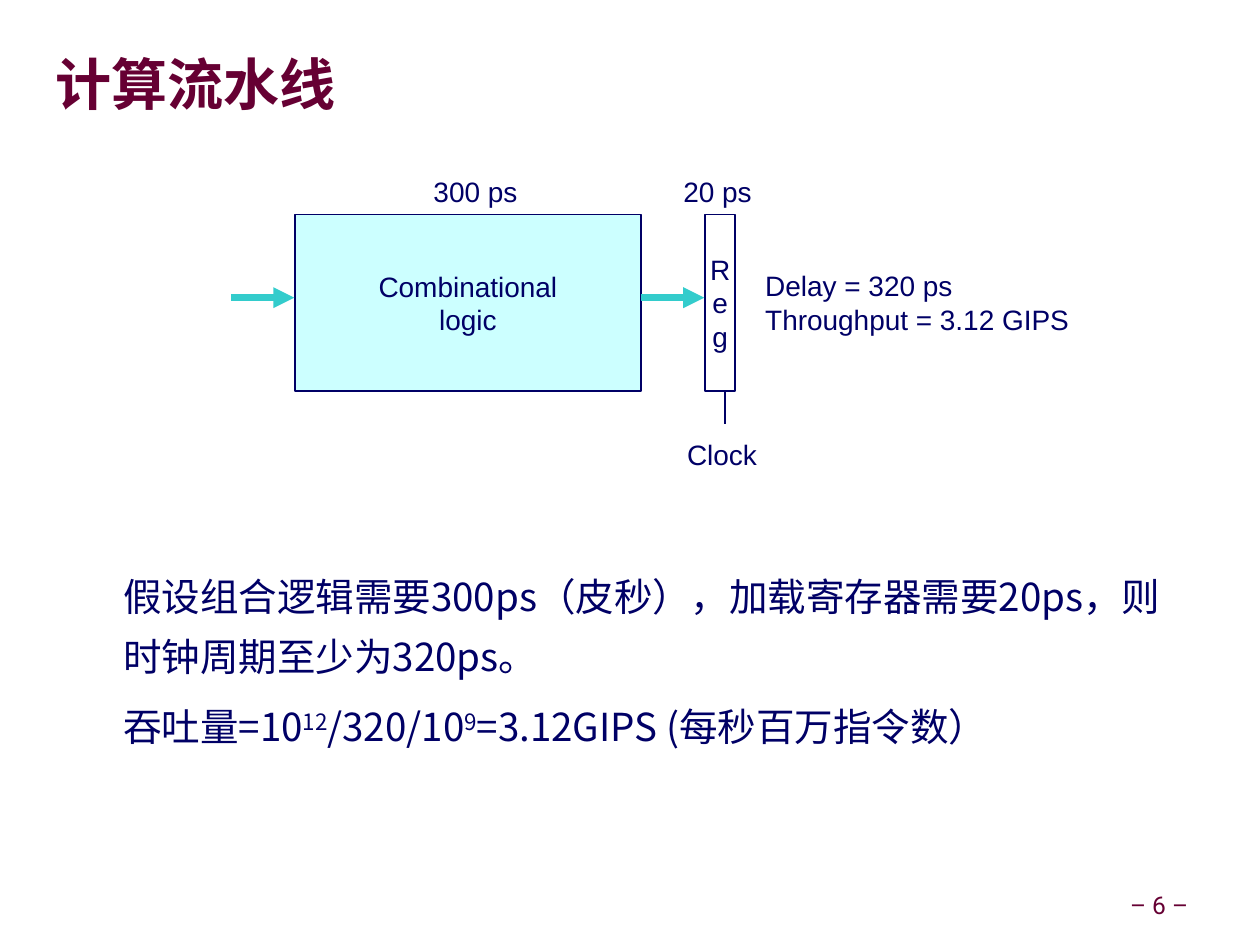
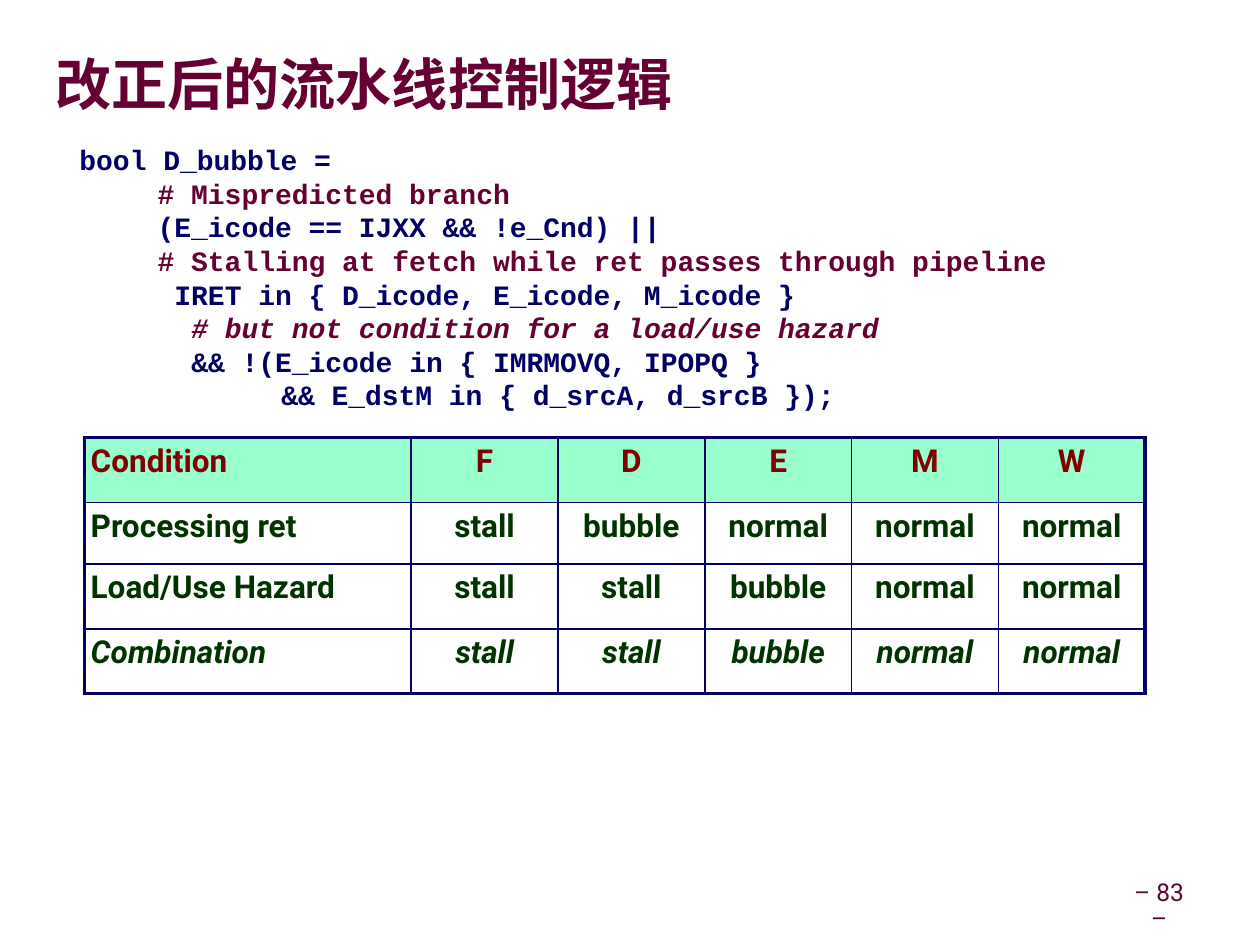
from dataclasses import dataclass

from lxml import etree
from pptx import Presentation
from pptx.dml.color import RGBColor
from pptx.enum.shapes import MSO_CONNECTOR, MSO_SHAPE
from pptx.enum.text import MSO_ANCHOR, MSO_AUTO_SIZE, PP_ALIGN
from pptx.oxml.ns import qn
from pptx.util import Pt

LEFT, CENTER = PP_ALIGN.LEFT, PP_ALIGN.CENTER
TOP, MIDDLE = MSO_ANCHOR.TOP, MSO_ANCHOR.MIDDLE
NO_AUTO_SIZE = MSO_AUTO_SIZE.NONE
RECTANGLE = MSO_SHAPE.RECTANGLE
STRAIGHT = MSO_CONNECTOR.STRAIGHT

MAROON = RGBColor(0x66, 0x00, 0x33)
NAVY = RGBColor(0x00, 0x00, 0x66)
TEAL = RGBColor(0x33, 0xCC, 0xCC)
PALE_CYAN = RGBColor(0xCC, 0xFF, 0xFF)
WHITE = RGBColor(0xFF, 0xFF, 0xFF)
MINT = RGBColor(0x99, 0xFF, 0xCC)
DARK_RED = RGBColor(0x80, 0x00, 0x00)
DARK_GREEN = RGBColor(0x00, 0x33, 0x00)

SANS, CODE, CHINESE, ROBOTO = "Arial", "Courier New", "Noto Sans CJK SC", "Roboto"

SLIDE_WIDTH, SLIDE_HEIGHT = 719.3, 539.3
TITLE_ONLY = 5
NARROW = (3.6, 3.6, 3.6, 3.6)
WIDE = (7.2, 3.6, 7.2, 3.6)

CODE_CHARACTER = 9.6
CODE_TAB = 44.64


@dataclass(frozen=True)
class Area:
    left: float
    top: float
    width: float
    height: float

    def lengths(self) -> tuple:
        return Pt(self.left), Pt(self.top), Pt(self.width), Pt(self.height)


@dataclass(frozen=True)
class Block:
    """A box of the diagram, filled and outlined."""
    area: Area
    lines: tuple
    fill: RGBColor


@dataclass(frozen=True)
class Label:
    area: Area
    lines: tuple
    align: PP_ALIGN = CENTER


@dataclass(frozen=True)
class Wire:
    start: tuple
    end: tuple
    color: RGBColor
    width: float
    arrow: bool


@dataclass(frozen=True)
class CodeLine:
    indent: float
    text: str
    color: RGBColor = NAVY
    italic: bool = False


LOGIC = Area(168.5, 122.4, 197.3, 100.8)
REGISTER = Area(402.5, 122.4, 17.3, 100.8)
ARROW_Y = 169.9

BLOCKS = (
    Block(LOGIC, ("Combinational", "logic"), PALE_CYAN),
    Block(REGISTER, ("R", "e", "g"), WHITE),
)
LABELS = (
    Label(Area(240.5, 95.8, 61.9, 25.9), ("300 ps",)),
    Label(Area(383, 95.8, 53.3, 25.9), ("20 ps",)),
    Label(Area(385.2, 246.2, 54, 25.9), ("Clock",)),
    Label(Area(429.8, 149.8, 196.6, 45.4),
          ("Delay = 320 ps", "Throughput = 3.12 GIPS"), LEFT),
)
WIRES = (
    Wire((131.8, ARROW_Y), (168, ARROW_Y), TEAL, 4, True),
    Wire((365.8, ARROW_Y), (402, ARROW_Y), TEAL, 4, True),
    Wire((414, 223.9), (414, 241.9), NAVY, 1, False),
)

# Each paragraph is a list of (text, baseline percentage).
EXPLANATION = (
    (("假设组合逻辑需要300ps（皮秒），加载寄存器需要20ps，则时钟周期至少为320ps。", 0),),
    (("吞吐量=10", 0), ("12", 30), ("/320/10", 0), ("9", 30),
     ("=3.12GIPS (每秒百万指令数）", 0)),
)

CODE_LINES = (
    CodeLine(0, "bool D_bubble ="),
    CodeLine(CODE_TAB, "# Mispredicted branch", MAROON),
    CodeLine(CODE_TAB, "(E_icode == IJXX && !e_Cnd) ||"),
    CodeLine(CODE_TAB, "# Stalling at fetch while ret passes through pipeline", MAROON),
    CodeLine(CODE_TAB + CODE_CHARACTER, "IRET in { D_icode, E_icode, M_icode }"),
    CodeLine(CODE_TAB + 2 * CODE_CHARACTER,
             "# but not condition for a load/use hazard", MAROON, True),
    CodeLine(CODE_TAB + 2 * CODE_CHARACTER, "&& !(E_icode in { IMRMOVQ, IPOPQ }"),
    CodeLine(12 * CODE_CHARACTER, "&& E_dstM in { d_srcA, d_srcB });"),
)

CONDITIONS = (
    ("Condition", "F", "D", "E", "M", "W"),
    ("Processing ret", "stall", "bubble", "normal", "normal", "normal"),
    ("Load/Use Hazard", "stall", "stall", "bubble", "normal", "normal"),
    ("Combination", "stall", "stall", "bubble", "normal", "normal"),
)
COLUMN_WIDTHS = (186.6,) + (83.8,) * 5
ROW_HEIGHTS = (37.1, 34.9, 37.1, 36.9)


def add_span(para, text: str, *, font: str, size: float, color: RGBColor,
             bold: bool = False, italic: bool = False, baseline: int = 0) -> None:
    span = para.add_run()
    span.text = text
    span.font.name = font
    span.font.size = Pt(size)
    span.font.color.rgb = color
    span.font.bold = bold
    span.font.italic = italic
    properties = span.font._element
    etree.SubElement(properties, qn("a:ea")).set("typeface", font)
    if baseline:
        properties.set("baseline", str(baseline * 1000))


def add_para(frame, index: int, *, align: PP_ALIGN = LEFT,
             spacing: float = 1.0, indent: float = 0):
    para = frame.add_paragraph() if index else frame.paragraphs[0]
    para.alignment = align
    para.line_spacing = spacing
    if indent:
        properties = para._p.get_or_add_pPr()
        properties.set("marL", str(Pt(indent)))
        properties.set("indent", "0")
    return para


def set_frame(frame, *, insets: tuple, anchor: MSO_ANCHOR = TOP, wrap: bool = True) -> None:
    frame.auto_size = NO_AUTO_SIZE
    frame.word_wrap = wrap
    frame.vertical_anchor = anchor
    (frame.margin_left, frame.margin_top,
     frame.margin_right, frame.margin_bottom) = map(Pt, insets)


def add_box(page, area: Area, **frame_format):
    frame = page.shapes.add_textbox(*area.lengths()).text_frame
    set_frame(frame, **frame_format)
    return frame


def add_page(deck, title: str, number: int):
    """Add a slide with the shared title style and page number."""
    page = deck.slides.add_slide(deck.slide_layouts[TITLE_ONLY])
    heading = page.shapes.title
    heading.left, heading.top, heading.width, heading.height = Area(
        31.7, 19.4, 663.8, 61.2).lengths()
    set_frame(heading.text_frame, insets=(0, 0, 0, 0), anchor=MIDDLE)
    para = add_para(heading.text_frame, 0, spacing=0.87)
    add_span(para, title, font=CHINESE, size=32, color=MAROON, bold=True)

    frame = add_box(page, Area(642.2, 506.2, 47.5, 22.3),
                    insets=(1.6, 3.6, 10, 3.6), anchor=MIDDLE)
    para = add_para(frame, 0, align=CENTER, spacing=0.9)
    add_span(para, f"– {number} –", font=ROBOTO, size=14, color=MAROON)
    return page


def write_diagram_lines(frame, lines: tuple, align: PP_ALIGN) -> None:
    for index, line in enumerate(lines):
        add_span(add_para(frame, index, align=align), line,
                 font=SANS, size=16, color=NAVY)


def add_block(page, block: Block) -> None:
    shape = page.shapes.add_shape(RECTANGLE, *block.area.lengths())
    shape.shadow.inherit = False
    shape.fill.solid()
    shape.fill.fore_color.rgb = block.fill
    shape.line.color.rgb = NAVY
    shape.line.width = Pt(1)
    set_frame(shape.text_frame, insets=WIDE, anchor=MIDDLE, wrap=False)
    write_diagram_lines(shape.text_frame, block.lines, CENTER)


def add_wire(page, wire: Wire) -> None:
    line = page.shapes.add_connector(STRAIGHT, *map(Pt, wire.start + wire.end))
    line.line.color.rgb = wire.color
    line.line.width = Pt(wire.width)
    if wire.arrow:
        etree.SubElement(line.line._get_or_add_ln(), qn("a:tailEnd")).set("type", "triangle")
    etree.SubElement(line._element.spPr, qn("a:effectLst"))


def set_border(cell, side: str, width: float) -> None:
    border = etree.SubElement(cell._tc.get_or_add_tcPr(), qn(f"a:ln{side}"))
    border.set("w", str(Pt(width)))
    fill = etree.SubElement(border, qn("a:solidFill"))
    etree.SubElement(fill, qn("a:srgbClr")).set("val", str(NAVY))


def add_condition_table(page) -> None:
    area = Area(48.2, 249.8, sum(COLUMN_WIDTHS), sum(ROW_HEIGHTS))
    last_row, last_column = len(ROW_HEIGHTS) - 1, len(COLUMN_WIDTHS) - 1
    table = page.shapes.add_table(last_row + 1, last_column + 1, *area.lengths()).table
    table.first_row = table.horz_banding = False
    for column, width in zip(table.columns, COLUMN_WIDTHS):
        column.width = Pt(width)
    for row, height in zip(table.rows, ROW_HEIGHTS):
        row.height = Pt(height)

    for row, texts in enumerate(CONDITIONS):
        for column, text in enumerate(texts):
            cell = table.cell(row, column)
            outer = {"L": column == 0, "R": column == last_column,
                     "T": row == 0, "B": row == last_row}
            for side, is_outer in outer.items():
                set_border(cell, side, 2.25 if is_outer else 1)
            cell.fill.solid()
            cell.fill.fore_color.rgb = MINT if row == 0 else WHITE
            (cell.margin_left, cell.margin_top,
             cell.margin_right, cell.margin_bottom) = map(Pt, NARROW)
            para = add_para(cell.text_frame, 0, spacing=0.95,
                            align=CENTER if column else LEFT)
            add_span(para, text, font=ROBOTO, size=18, bold=True,
                     color=DARK_GREEN if row else DARK_RED, italic=row == last_row)


def build_pipeline_page(deck) -> None:
    page = add_page(deck, "计算流水线", 6)
    frame = add_box(page, Area(23.8, 315.4, 653, 182.2), insets=WIDE)
    for index, spans in enumerate(EXPLANATION):
        para = add_para(frame, index, spacing=1.3, indent=39.6)
        para.space_before = Pt(6)
        for text, baseline in spans:
            add_span(para, text, font=CHINESE, size=22, color=NAVY, baseline=baseline)
    for block in BLOCKS:
        add_block(page, block)
    for wire in WIRES:
        add_wire(page, wire)
    for label in LABELS:
        frame = add_box(page, label.area, insets=WIDE, wrap=False)
        write_diagram_lines(frame, label.lines, label.align)


def build_control_page(deck) -> None:
    page = add_page(deck, "改正后的流水线控制逻辑", 83)
    add_condition_table(page)
    frame = add_box(page, Area(41.8, 77.8, 665.3, 180.7), insets=NARROW)
    for index, line in enumerate(CODE_LINES):
        para = add_para(frame, index, indent=line.indent)
        add_span(para, line.text, font=CODE, size=16, color=line.color,
                 bold=True, italic=line.italic)


def main() -> None:
    deck = Presentation()
    deck.slide_width, deck.slide_height = Pt(SLIDE_WIDTH), Pt(SLIDE_HEIGHT)
    build_pipeline_page(deck)
    build_control_page(deck)
    deck.save("out.pptx")


if __name__ == "__main__":
    main()
